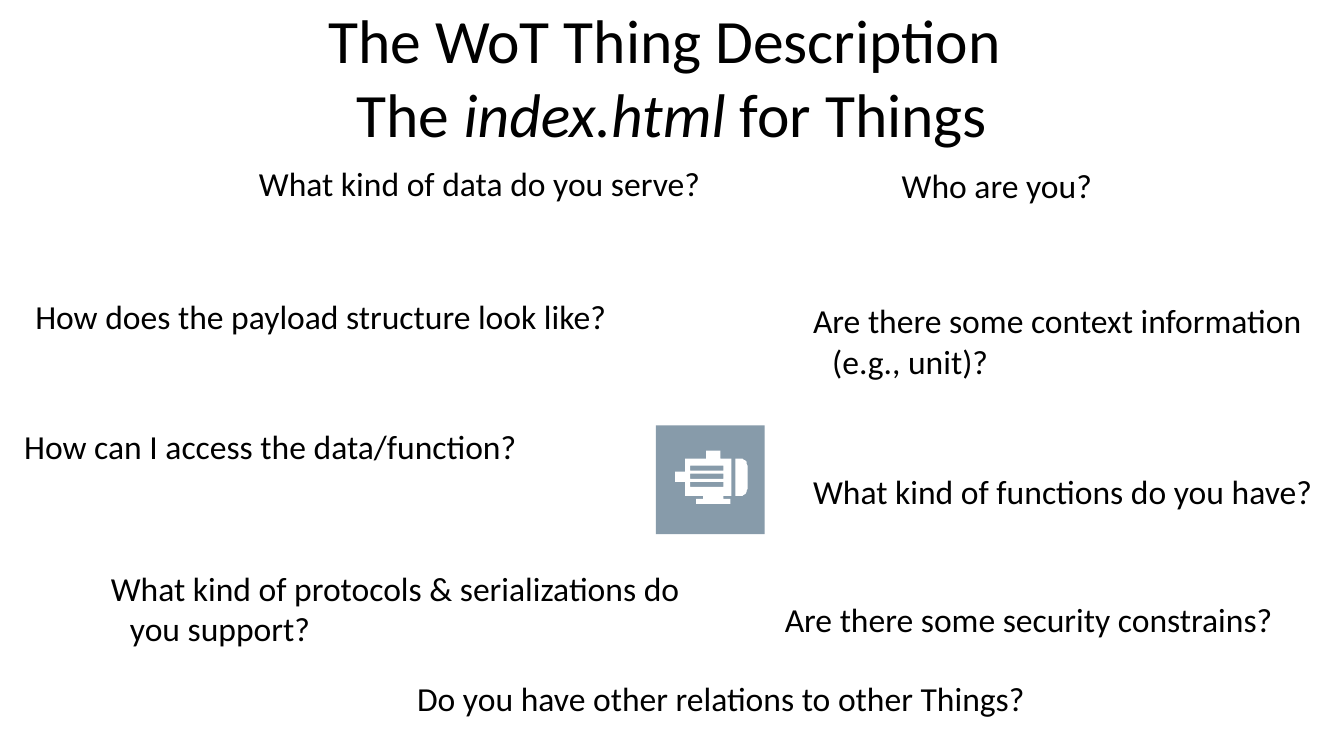
import math
import pptx
import pptx.util
import pptx.dml.color
import pptx.enum.shapes
import pptx.enum.text

PX = 9144  # 100 px to the inch


def paint(sp, color):
    sp.shadow.inherit = False
    sp.fill.solid()
    sp.fill.fore_color.rgb = pptx.dml.color.RGBColor.from_string(color)
    sp.line.fill.background()


def style(r, size, color="000000"):
    r.font.name = "Calibri"
    r.font.size = pptx.util.Pt(size)
    r.font.color.rgb = pptx.dml.color.RGBColor.from_string(color)


prs = pptx.Presentation()
prs.slide_width, prs.slide_height = 1334 * PX, 750 * PX
s = prs.slides.add_slide(prs.slide_layouts[6])

# Motor icon: tile, body with three slats, rounded end cap
icon = s.shapes.add_group_shape()
tile = icon.shapes.add_shape(
    pptx.enum.shapes.MSO_SHAPE.RECTANGLE, 651 * PX, 422 * PX, 108 * PX, 108 * PX)
paint(tile, "879BAA")

body = [(701, 447), (701, 455), (680, 455), (680, 468), (670, 468), (670, 478),
        (680, 478), (680, 492), (698, 492), (698, 495), (691, 495), (691, 500),
        (725, 500), (725, 495), (718, 495), (718, 492), (726, 492), (726, 455),
        (715, 455)]
slats = [[(718, y), (718, y + 5), (685, y + 5), (685, y)] for y in (462, 470, 478)]
cap = [(730, 492), (730, 455)]
for cy, start in ((462, -90), (485, 0)):
    for step in range(7):
        a = math.radians(start + 15 * step)
        cap.append((735 + 6.5 * math.cos(a), cy + 7 * math.sin(a)))

fb = icon.shapes.build_freeform(715, 447, scale=PX)
fb.add_line_segments(body, close=True)
for outline in slats + [cap]:
    fb.move_to(*outline[0])
    fb.add_line_segments(outline[1:], close=True)
paint(fb.convert_to_shape(), "FFFFFF")

# Title
sp = s.shapes.add_textbox(0, 0, 1334 * PX, 150 * PX)
tf = sp.text_frame
tf.word_wrap = True
tf.vertical_anchor = pptx.enum.text.MSO_ANCHOR.MIDDLE
p = tf.paragraphs[0]
p.alignment = pptx.enum.text.PP_ALIGN.CENTER
p.text = "The WoT Thing Description \vThe "
for text in ("index.html", " for Things"):
    p.add_run().text = text
for r in p.runs:
    style(r, 44)
    r.font.italic = r.text == "index.html"

# Questions around the icon: left, top, width, height, text
questions = [
    (895, 164, 398, 40, "Who are you?"),
    (807, 467, 502, 40, "What kind of functions do you have?"),
    (257, 162, 504, 40, "What kind of data do you serve?"),
    (24, 423, 523, 40, "How can I access the data/function?"),
    (110, 563, 576, 81, "What kind of protocols & serializations do you support?"),
    (779, 594, 514, 40, "Are there some security constrains?"),
    (35, 294, 575, 40, "How does the payload structure look like?"),
    (807, 298, 531, 81, "Are there some context information (e.g., unit)?"),
    (414, 673, 624, 40, "Do you have other relations to other Things?"),
]
for x, y, w, h, text in questions:
    sp = s.shapes.add_textbox(x * PX, y * PX, w * PX, h * PX)
    tf = sp.text_frame
    tf.word_wrap = True
    tf.auto_size = pptx.enum.text.MSO_AUTO_SIZE.SHAPE_TO_FIT_TEXT
    tf.margin_left = tf.margin_top = tf.margin_right = tf.margin_bottom = 0
    p = tf.paragraphs[0]
    p.text = text
    # Hanging indent
    pPr = p._p.get_or_add_pPr()
    pPr.set("marL", str(19 * PX))
    pPr.set("indent", str(-19 * PX))
    style(p.runs[0], 24)

prs.save("out.pptx")
